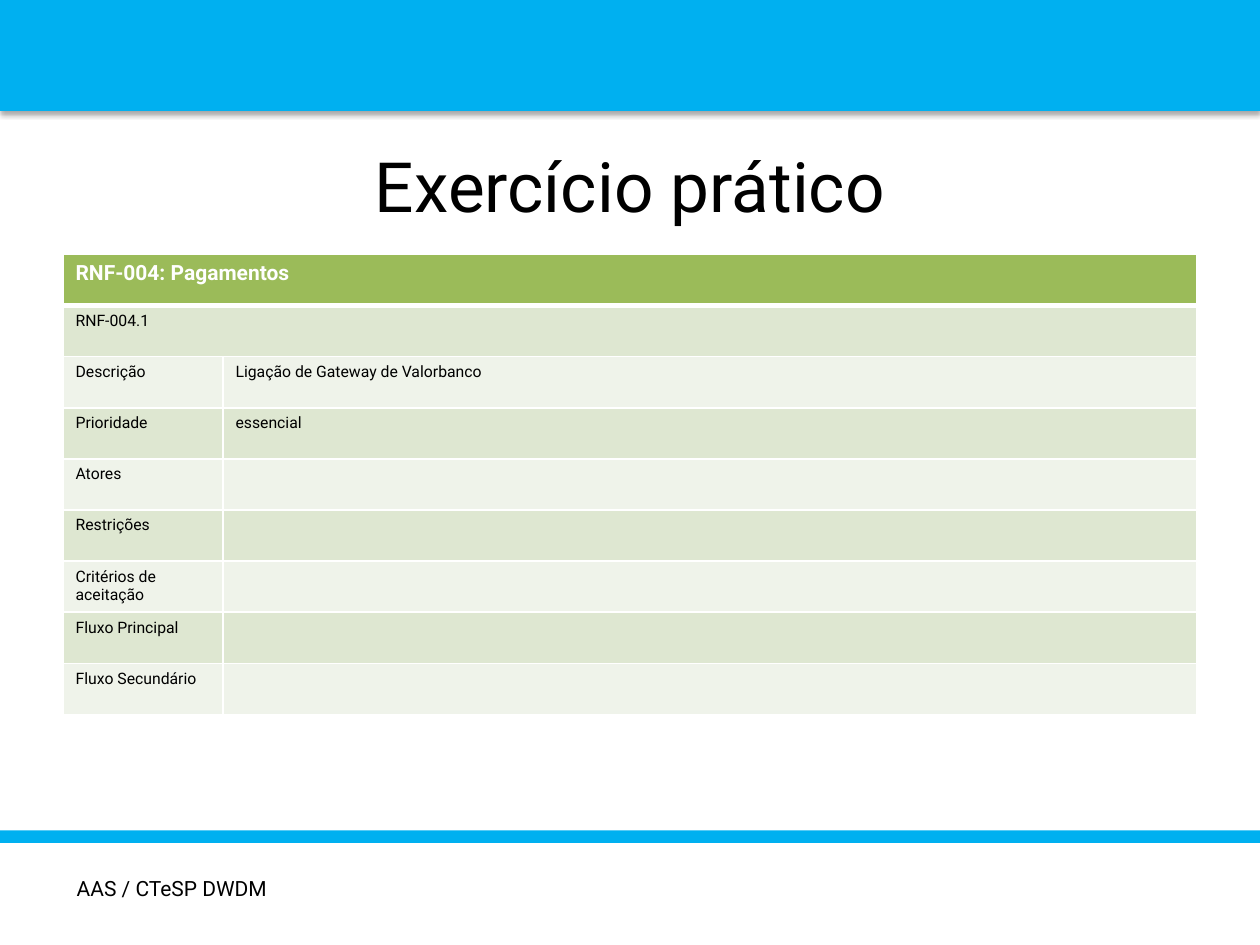
from pptx import Presentation, util as u
from pptx.dml.color import RGBColor
from pptx.enum import shapes, text
from pptx.oxml import parse_xml
from pptx.oxml.ns import nsdecls

COLORS = {
    "bar": "00B0F0",
    "header": "9BBB59",
    "band_dark": "DEE7D1",
    "band_light": "EFF3EA",
    "white": "FFFFFF",
    "black": "000000",
}
FONT = "Roboto"
HEADING = "RNF-004: Pagamentos"
REQUIREMENT = "RNF-004.1"
FIELDS = [
    ("Descrição", "Ligação de Gateway de Valorbanco"),
    ("Prioridade", "essencial"),
    ("Atores", ""),
    ("Restrições", ""),
    ("Critérios de aceitação", ""),
    ("Fluxo Principal", ""),
    ("Fluxo Secundário", ""),
]


def write(frame, content, size=9, color="black", bold=False, align=text.PP_ALIGN.LEFT):
    paragraph = frame.paragraphs[0]
    paragraph.alignment = align
    run = paragraph.add_run()
    run.text = content
    run.font.name = FONT
    run.font.size = u.Pt(size)
    run.font.bold = bold
    run.font.color.rgb = RGBColor.from_string(COLORS[color])


class SlideBuilder:
    """Adds styled elements to the current slide."""

    def __init__(self, slide):
        self.slide = slide

    def box(self, left, top, width, height):
        return [u.Inches(length) for length in (left, top, width, height)]

    def title(self, content, *place):
        title = self.slide.shapes.title
        title.left, title.top, title.width, title.height = self.box(*place)
        title.text_frame.vertical_anchor = text.MSO_ANCHOR.MIDDLE
        write(title.text_frame, content, size=39.6, align=text.PP_ALIGN.CENTER)

    def bar(self, *place, shadow=False):
        bar = self.slide.shapes.add_shape(shapes.MSO_SHAPE.RECTANGLE, *self.box(*place))
        bar.fill.solid()
        bar.fill.fore_color.rgb = RGBColor.from_string(COLORS["bar"])
        bar.line.fill.background()
        bar.shadow.inherit = False
        if shadow:
            effects = bar._element.spPr.find("{*}effectLst")
            effects.append(parse_xml(
                f'<a:outerShdw {nsdecls("a")} blurRad="{u.Pt(3.1)}" dist="{u.Pt(1.8)}" '
                f'dir="5400000" rotWithShape="0"><a:srgbClr val="{COLORS["black"]}">'
                '<a:alpha val="35000"/></a:srgbClr></a:outerShdw>'))

    def label(self, content, *place):
        frame = self.slide.shapes.add_textbox(*self.box(*place)).text_frame
        frame.word_wrap = True
        frame.auto_size = text.MSO_AUTO_SIZE.SHAPE_TO_FIT_TEXT
        write(frame, content, size=12)

    def cell(self, cell, fill, top=1, bottom=1):
        properties = cell._tc.get_or_add_tcPr()
        for side, width in (("L", 1), ("R", 1), ("T", top), ("B", bottom)):
            properties.append(parse_xml(
                f'<a:ln{side} {nsdecls("a")} w="{u.Pt(width)}"><a:solidFill>'
                f'<a:srgbClr val="{COLORS["white"]}"/></a:solidFill></a:ln{side}>'))
        cell.fill.solid()
        cell.fill.fore_color.rgb = RGBColor.from_string(COLORS[fill])

    def table(self, rows, column_widths, *place):
        frame = self.slide.shapes.add_table(len(rows), len(column_widths), *self.box(*place))
        table = frame.table
        for column, width in zip(table.columns, column_widths):
            column.width = u.Inches(width)
        for index, row in enumerate(rows):
            header = index == 0
            fill = "header" if header else "band_dark" if index % 2 else "band_light"
            if len(row) == 1:
                table.cell(index, 0).merge(table.cell(index, len(column_widths) - 1))
            for cell in table.rows[index].cells:
                self.cell(cell, fill, top=3 if index == 1 else 1, bottom=3 if header else 1)
            for column, content in enumerate(row):
                if content:
                    write(table.cell(index, column).text_frame, content,
                          size=12 if header else 9,
                          color="white" if header else "black", bold=header)


def main():
    presentation = Presentation()
    presentation.slide_width = u.Inches(10)
    presentation.slide_height = u.Inches(7.5)
    builder = SlideBuilder(presentation.slides.add_slide(presentation.slide_layouts[5]))
    builder.bar(0, -0.03, 10, 0.91, shadow=True)
    builder.bar(0, 6.59, 10, 0.1)
    builder.title("Exercício prático", 0.5, 1.07, 9, 0.79)
    builder.label("AAS / CTeSP DWDM", 0.51, 6.9, 3.39, 0.3)
    builder.table([(HEADING,), (REQUIREMENT,), *FIELDS], (1.27, 7.73), 0.5, 2.02, 9, 3.65)
    presentation.save("out.pptx")


if __name__ == "__main__":
    main()
